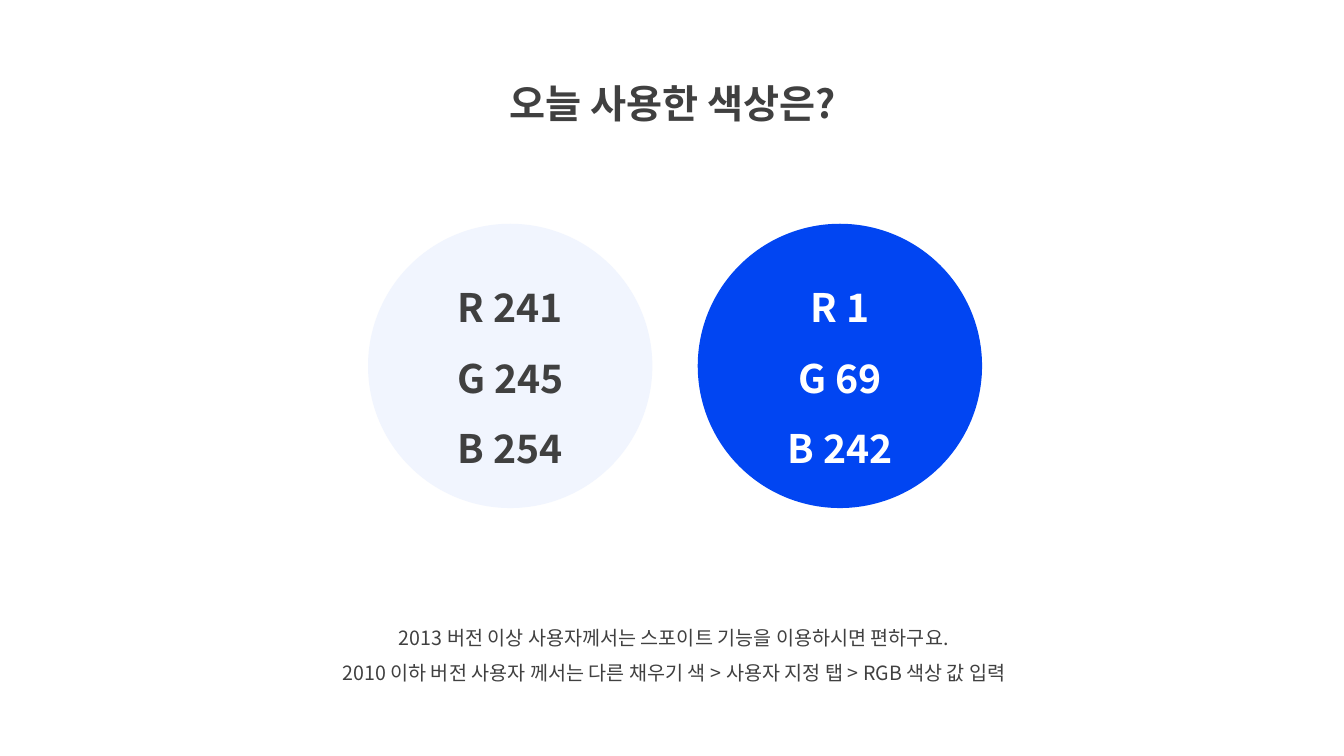
from lxml.etree import SubElement
from pptx import Presentation
from pptx.dml.color import RGBColor
from pptx.enum.shapes import MSO_SHAPE
from pptx.enum.text import MSO_ANCHOR, PP_ALIGN
from pptx.oxml.ns import qn
from pptx.util import Inches, Pt

FONT = "Noto Sans CJK KR"
COLORS = {"ink": "404040", "white": "FFFFFF", "pale": "F1F5FE", "blue": "0145F2"}
BIG = {"size": Pt(28), "bold": True, "name": FONT}
SMALL = {"size": Pt(14), "bold": False, "name": FONT}

TEXTS = [
    ((4.36, 0.5, 4.63, 0.72), BIG, ["오늘 사용한 색상은?"]),
    ((2.69, 6.04, 7.99, 0.81), SMALL, [
        "2013 버전 이상 사용자께서는 스포이트 기능을 이용하시면 편하구요.",
        "2010 이하 버전 사용자 께서는 다른 채우기 색 > 사용자 지정 탭 > RGB 색상 값 입력",
    ]),
]
SWATCHES = [("pale", "ink"), ("blue", "white")]
LEFT, TOP, SIZE, GAP = 3.65, 2.22, 2.82, 0.45


def write(tf, lines, style, color):
    """Fill a text frame with centred lines in one style."""
    tf.word_wrap = True
    for i, line in enumerate(lines):
        p = tf.paragraphs[0] if i == 0 else tf.add_paragraph()
        p.alignment, p.line_spacing = PP_ALIGN.CENTER, 1.5
        r = p.add_run()
        r.text = line
        for key, value in style.items():
            setattr(r.font, key, value)
        r.font.color.rgb = RGBColor.from_string(COLORS[color])
        SubElement(r._r.get_or_add_rPr(), qn("a:ea"), typeface=FONT)


def main():
    """Build the colour slide."""
    prs = Presentation()
    prs.slide_width, prs.slide_height = Inches(13.33), Inches(7.5)
    s = prs.slides.add_slide(prs.slide_layouts[6])

    for box, style, lines in TEXTS:
        write(s.shapes.add_textbox(*map(Inches, box)).text_frame, lines, style, "ink")

    for i, (fill, ink) in enumerate(SWATCHES):
        box = (LEFT + i * (SIZE + GAP), TOP, SIZE, SIZE)
        sp = s.shapes.add_shape(MSO_SHAPE.OVAL, *map(Inches, box))
        sp.shadow.inherit = False
        rgb = RGBColor.from_string(COLORS[fill])
        sp.fill.solid()
        sp.fill.fore_color.rgb = rgb
        sp.line.fill.background()
        sp.text_frame.vertical_anchor = MSO_ANCHOR.MIDDLE
        lines = [f"{name} {value}" for name, value in zip("RGB", rgb)]
        write(sp.text_frame, lines, BIG, ink)

    prs.save("out.pptx")


if __name__ == "__main__":
    main()
